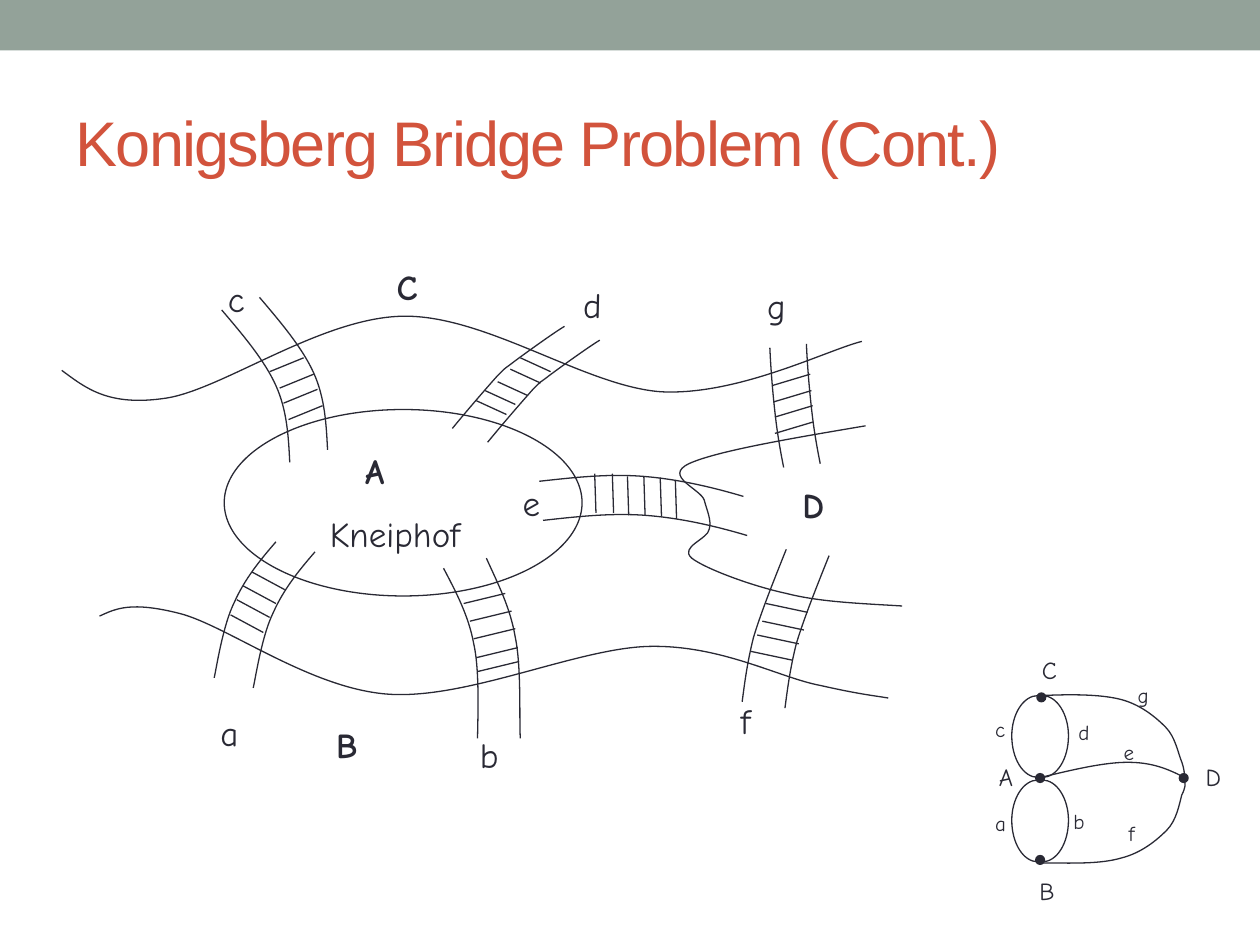
from dataclasses import dataclass

from lxml.etree import SubElement
from pptx import Presentation
from pptx.dml.color import RGBColor
from pptx.enum.shapes import MSO_CONNECTOR, MSO_SHAPE
from pptx.enum.text import MSO_ANCHOR, PP_ALIGN
from pptx.oxml.ns import qn
from pptx.util import Inches, Pt


@dataclass(frozen=True)
class Theme:
    ink: RGBColor = RGBColor(0x29, 0x29, 0x34)
    band: RGBColor = RGBColor(0x93, 0xA2, 0x99)
    title: RGBColor = RGBColor(0xD2, 0x53, 0x3C)
    title_font: str = "Arial"
    label_font: str = "Comic Neue"
    title_size: int = 36
    map_size: int = 20
    node_size: int = 14
    edge_size: int = 12
    line_width: float = 0.75


THEME = Theme()

# Each curve is a start point followed by two controls and an end per segment.
SHORES = [
    [(0.49, 2.94), (0.68, 3.08), (0.86, 3.23), (1.32, 3.16), (1.77, 3.09), (2.55, 2.52), (3.2, 2.51),
     (3.86, 2.5), (4.65, 3.07), (5.25, 3.11), (5.86, 3.14), (6.56, 2.78), (6.84, 2.71)],
    [(6.87, 3.38), (6.28, 3.48), (5.69, 3.58), (5.47, 3.68), (5.26, 3.78), (5.56, 3.88), (5.59, 3.97),
     (5.61, 4.05), (5.65, 4.13), (5.63, 4.2), (5.62, 4.28), (5.39, 4.34), (5.49, 4.43),
     (5.59, 4.51), (5.96, 4.65), (6.24, 4.71), (6.51, 4.78), (6.84, 4.79), (7.16, 4.81)],
    [(7.05, 5.54), (6.93, 5.52), (6.82, 5.51), (6.51, 5.44), (6.19, 5.38), (5.73, 5.12), (5.16, 5.13),
     (4.59, 5.14), (3.72, 5.55), (3.09, 5.51), (2.47, 5.47), (1.81, 4.97), (1.43, 4.87),
     (1.04, 4.77), (0.92, 4.83), (0.79, 4.89)],
]

# Per bridge: one rail, shift to the other rail, plank starts, plank direction.
BRIDGES = {
    "a": ([(2.19, 4.3), (2.06, 4.45), (1.94, 4.6), (1.86, 4.78), (1.77, 4.96), (1.72, 5.29), (1.7, 5.38)],
          (0.31, 0.08), [(2, 4.54), (1.93, 4.65), (1.88, 4.76), (1.83, 4.88)], (0.26, 0.14)),
    "b": ([(3.52, 4.51), (3.62, 4.7), (3.72, 4.89), (3.76, 5.11), (3.81, 5.33), (3.79, 5.74), (3.79, 5.86)],
          None, [(3.68, 4.79), (3.73, 4.93), (3.76, 5.07), (3.78, 5.22), (3.79, 5.33)], (0.33, -0.08)),
    "e": ([(4.28, 3.82), (4.55, 3.79), (4.82, 3.76), (5.09, 3.78), (5.36, 3.8), (5.63, 3.86), (5.9, 3.94)],
          (0.03, 0.31), [(4.72, 3.76), (4.86, 3.76), (4.98, 3.78), (5.11, 3.78), (5.24, 3.79), (5.36, 3.81)],
          (0.01, 0.31)),
    "f": ([(6.24, 4.36), (6.14, 4.61), (6.04, 4.86), (5.98, 5.06), (5.93, 5.26), (5.91, 5.42), (5.89, 5.57)],
          (0.34, 0.05), [(6.08, 4.79), (6.05, 4.93), (6.01, 5.04), (5.96, 5.17)], (0.33, 0.07)),
    "c": ([(1.76, 2.46), (1.93, 2.66), (2.1, 2.86), (2.19, 3.06), (2.28, 3.26), (2.29, 3.47), (2.3, 3.67)],
          (0.3, -0.1), [(2.14, 2.95), (2.22, 3.08), (2.25, 3.2), (2.29, 3.33)], (0.27, -0.11)),
    "d": ([(3.59, 3.4), (3.73, 3.23), (3.87, 3.07), (3.95, 2.98), (4.03, 2.9), (3.99, 2.94), (4.08, 2.87),
           (4.16, 2.81), (4.41, 2.63), (4.48, 2.59)],
          (0.28, 0.11), [(4.13, 2.84), (4.05, 2.93), (3.95, 3.03), (3.85, 3.1), (3.78, 3.18)], (0.24, 0.11)),
    "g": ([(6.11, 2.76), (6.12, 2.98), (6.14, 3.19), (6.16, 3.35), (6.18, 3.51), (6.21, 3.66), (6.22, 3.71)],
          (0.29, -0.03), [(6.13, 3.06), (6.14, 3.19), (6.15, 3.31), (6.15, 3.44)], (0.3, -0.09)),
}
BRIDGE_B_FAR_RAIL = [(3.86, 4.43), (3.95, 4.63), (4.05, 4.82), (4.09, 5.06),
                     (4.14, 5.3), (4.12, 5.72), (4.13, 5.86)]

BRIDGE_LABELS = {"a": (1.65, 5.6), "b": (3.71, 5.77), "c": (1.71, 2.15), "d": (4.53, 2.2),
                 "g": (5.99, 2.21), "f": (5.78, 5.5), "e": (4.05, 3.77)}
LAND_LABELS = {"C": (3.05, 2.06), "D": (6.27, 3.79), "B": (2.57, 5.69)}

GRAPH_EDGES = [
    [(8.28, 5.52), (8.5, 5.51), (8.73, 5.51), (8.89, 5.55), (9.05, 5.59), (9.17, 5.69), (9.25, 5.77),
     (9.33, 5.85), (9.35, 5.98), (9.38, 6.05), (9.4, 6.11), (9.4, 6.14), (9.4, 6.16)],
    [(8.28, 6.85), (8.51, 6.85), (8.73, 6.86), (8.9, 6.81), (9.06, 6.77), (9.18, 6.67), (9.26, 6.59),
     (9.34, 6.51), (9.36, 6.38), (9.38, 6.31), (9.41, 6.25), (9.41, 6.22), (9.4, 6.2)],
    [(8.26, 6.17), (8.51, 6.11), (8.76, 6.05), (8.95, 6.05), (9.14, 6.05), (9.26, 6.1), (9.38, 6.16)],
]
GRAPH_NODES = [(8.23, 5.5), (8.22, 6.14), (8.22, 6.79), (9.36, 6.14)]
EDGE_LABELS = {"a": (7.8, 6.38), "b": (8.42, 6.37), "c": (7.8, 5.64), "d": (8.46, 5.66),
               "g": (8.93, 5.37), "e": (8.82, 5.82), "f": (8.86, 6.46)}
NODE_LABELS = {"A": (7.83, 6), "B": (8.15, 6.9), "C": (8.17, 5.15), "D": (9.47, 6)}


def set_line(shape):
    shape.line.color.rgb = THEME.ink
    shape.line.width = Pt(THEME.line_width)


def add_curve(slide, curve):
    """Draw an open outline, turning each three line segments into one cubic."""
    points = [(Inches(x), Inches(y)) for x, y in curve]
    builder = slide.shapes.build_freeform(*points[0])
    builder.add_line_segments(points[1:], close=False)
    shape = builder.convert_to_shape()
    outline = shape._element.find(".//" + qn("a:path"))
    segments = outline.findall(qn("a:lnTo"))
    for first in range(0, len(segments), 3):
        cubic = SubElement(outline, qn("a:cubicBezTo"))
        for segment in segments[first:first + 3]:
            cubic.append(segment[0])
            outline.remove(segment)
    shape.shadow.inherit = False
    shape.fill.background()
    set_line(shape)


def add_plank(slide, start, direction):
    (x, y), (dx, dy) = start, direction
    plank = slide.shapes.add_connector(MSO_CONNECTOR.STRAIGHT, Inches(x), Inches(y),
                                       Inches(x + dx), Inches(y + dy))
    set_line(plank)
    SubElement(plank._element.spPr, qn("a:effectLst"))


def add_bridge(slide, rail, shift, plank_starts, direction):
    far_rail = [(x + shift[0], y + shift[1]) for x, y in rail] if shift else BRIDGE_B_FAR_RAIL
    add_curve(slide, rail)
    add_curve(slide, far_rail)
    for start in plank_starts:
        add_plank(slide, start, direction)


def add_preset(slide, kind, left, top, width, height, fill=None, outlined=True):
    shape = slide.shapes.add_shape(kind, Inches(left), Inches(top), Inches(width), Inches(height))
    shape.shadow.inherit = False
    if fill is None:
        shape.fill.background()
    else:
        shape.fill.solid()
        shape.fill.fore_color.rgb = fill
    if outlined:
        set_line(shape)
    else:
        shape.line.fill.background()


def add_run(paragraph, text, size, color, font, bold=False):
    run = paragraph.add_run()
    run.text = text
    run.font.size = Pt(size)
    run.font.color.rgb = color
    run.font.name = font
    run.font.bold = bold
    return run


def add_text_box(slide, place, width, height, text, size, bold=False):
    box = slide.shapes.add_textbox(*(Inches(value) for value in (*place, width, height)))
    box.text_frame.word_wrap = True
    add_run(box.text_frame.paragraphs[0], text, size, THEME.ink, THEME.label_font, bold)
    return box.text_frame


def add_labels(slide, labels, width, height, size, bold=False):
    for text, place in labels.items():
        add_text_box(slide, place, width, height, text, size, bold)


def add_title(slide, text):
    title = slide.shapes.title
    title.left, title.top, title.width, title.height = (Inches(v) for v in (0.5, 0.58, 9, 1.08))
    title.text_frame.vertical_anchor = MSO_ANCHOR.MIDDLE
    paragraph = title.text_frame.paragraphs[0]
    paragraph.alignment = PP_ALIGN.LEFT
    run = add_run(paragraph, text, THEME.title_size, THEME.title, THEME.title_font)
    run.font._element.set("spc", "-100")


def add_island_name(slide):
    frame = add_text_box(slide, (2.52, 3.52), 1.56, 0.93, "A", THEME.map_size, bold=True)
    frame.paragraphs[0]._p.get_or_add_pPr().set("marL", str(Inches(0.28)))
    paragraph = frame.add_paragraph()
    paragraph.space_before = Pt(12)
    add_run(paragraph, "Kneiphof", THEME.map_size, THEME.ink, THEME.label_font)


def add_river_map(slide):
    for shore in SHORES:
        add_curve(slide, shore)
    add_preset(slide, MSO_SHAPE.OVAL, 1.78, 3.25, 2.84, 1.48)
    add_island_name(slide)
    for bridge in BRIDGES.values():
        add_bridge(slide, *bridge)
    add_labels(slide, BRIDGE_LABELS, 0.49, 0.43, THEME.map_size)
    add_labels(slide, LAND_LABELS, 0.54, 0.43, THEME.map_size, bold=True)


def add_graph(slide):
    for top in (5.52, 6.19):
        middle, bottom = top + 0.32, top + 0.65
        for inner, control, outer in ((8.24, 8.12, 8.03), (8.27, 8.39, 8.48)):
            add_curve(slide, [(inner, top), (control, top), (outer, top + 0.15), (outer, middle),
                              (outer, bottom - 0.15), (control, bottom), (inner, bottom)])
    for edge in GRAPH_EDGES:
        add_curve(slide, edge)
    for left, top in GRAPH_NODES:
        add_preset(slide, MSO_SHAPE.OVAL, left, top, 0.07, 0.07, THEME.ink)
    add_labels(slide, EDGE_LABELS, 0.22, 0.3, THEME.edge_size)
    add_labels(slide, NODE_LABELS, 0.22, 0.33, THEME.node_size)


def main():
    presentation = Presentation()
    presentation.slide_width, presentation.slide_height = Inches(10), Inches(7.5)
    slide = presentation.slides.add_slide(presentation.slide_layouts[5])
    add_preset(slide, MSO_SHAPE.RECTANGLE, 0, 0, 10, 0.4, THEME.band, outlined=False)
    add_title(slide, "Konigsberg Bridge Problem (Cont.)")
    add_river_map(slide)
    add_graph(slide)
    presentation.save("out.pptx")


if __name__ == "__main__":
    main()
